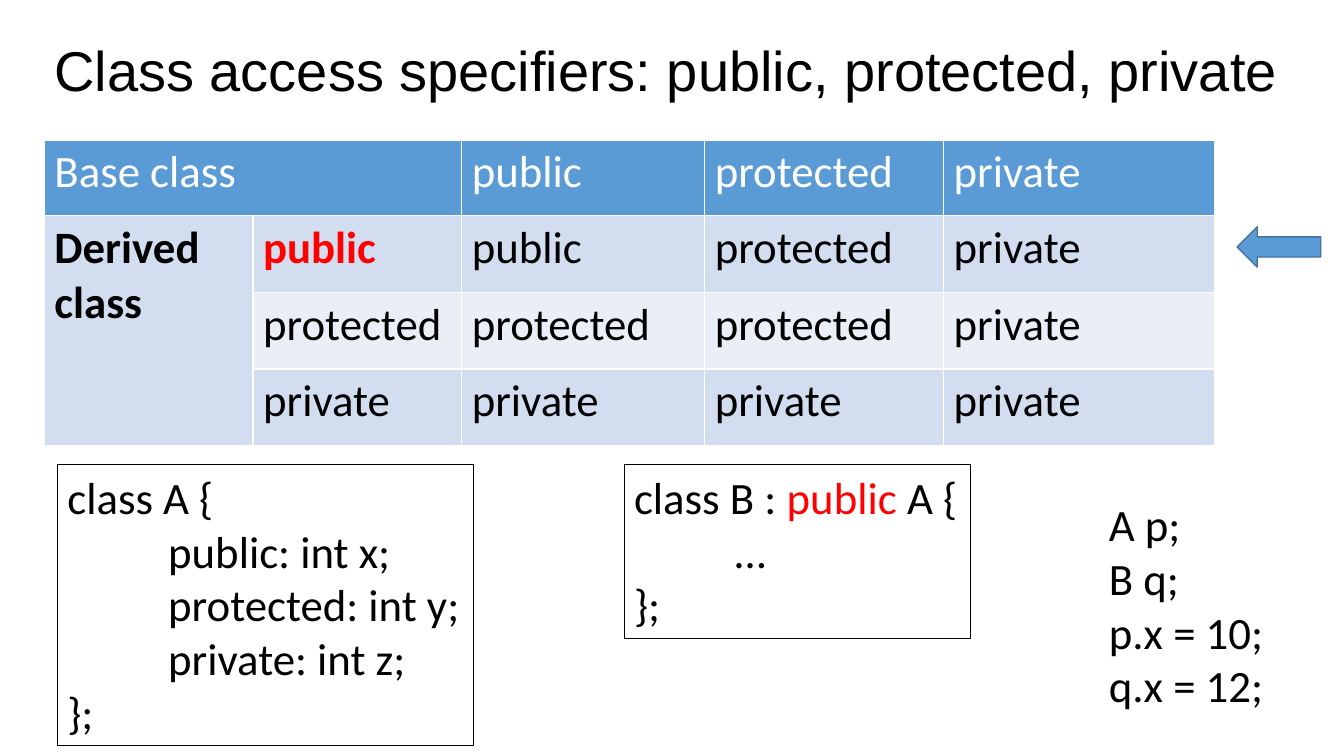
"""Build a slide on class access specifiers."""
import pptx
import pptx.util
import pptx.dml.color
import pptx.enum.shapes
import pptx.enum.text
import pptx.oxml.ns
import lxml.etree

Inches, Pt = pptx.util.Inches, pptx.util.Pt
BLACK, WHITE, RED, BLUE = "000000", "FFFFFF", "FF0000", "5B9BD5"
BANDS = ["D2DEEF", "EAEFF7"]
TITLE = "Class access specifiers: public, protected, private"
COLS = [2.07, 2.07, 2.41, 2.37, 2.69]
ROWS = [0.75, 0.76, 0.76, 0.76]
GRID = [
    ["Base class", "", "public", "protected", "private"],
    ["Derived\nclass", "public", "public", "protected", "private"],
    ["", "protected", "protected", "protected", "private"],
    ["", "private", "private", "private", "private"],
]
BOLD = {(1, 0): BLACK, (1, 1): RED}
CODE = [
    ((6.19, 4.61, 3.44, 1.72), True,
     [[("class B : ", BLACK), ("public", RED), (" A {", BLACK)], "\t…", "};"]),
    ((0.57, 4.61, 4.13, 2.79), True,
     ["class A {", "\tpublic: int x;", "\tprotected: int y;",
      "\tprivate: int z;", "};"]),
    ((10.9, 4.88, 1.79, 2.26), False,
     ["A p;", "B q;", "p.x = 10;", "q.x = 12;"]),
]


def color(code):
    return pptx.dml.color.RGBColor.from_string(code)


def paint(fill, code):
    fill.solid()
    fill.fore_color.rgb = color(code)


def write(frame, lines, tint=BLACK, size=32, face="Calibri", bold=False):
    for i, line in enumerate(lines):
        para = frame.add_paragraph() if i else frame.paragraphs[0]
        for words, code in [(line, tint)] if isinstance(line, str) else line:
            if words.startswith("\t"):
                para._p.get_or_add_pPr().set("marL", str(Inches(1)))
            run = para.add_run()
            run.text = words.lstrip("\t")
            run.font.size, run.font.name, run.font.bold = Pt(size), face, bold
            run.font.color.rgb = color(code)


def edge(cell):
    props = cell._tc.get_or_add_tcPr()
    for side in "LRTB":
        line = lxml.etree.SubElement(
            props, pptx.oxml.ns.qn(f"a:ln{side}"), w=str(Pt(1)))
        fill = lxml.etree.SubElement(line, pptx.oxml.ns.qn("a:solidFill"))
        lxml.etree.SubElement(fill, pptx.oxml.ns.qn("a:srgbClr"), val=WHITE)


deck = pptx.Presentation()
deck.slide_width, deck.slide_height = Inches(13.33), Inches(7.5)
slide = deck.slides.add_slide(deck.slide_layouts[6])
shapes = slide.shapes

title = shapes.add_textbox(*map(Inches, (0.44, 0, 12.89, 1.45))).text_frame
title.word_wrap = True
title.vertical_anchor = pptx.enum.text.MSO_ANCHOR.MIDDLE
write(title, [TITLE], size=40, face="Arial")
title.paragraphs[0].line_spacing = 0.9

place = map(Inches, (0.44, 1.39, sum(COLS), sum(ROWS)))
table = shapes.add_table(len(ROWS), len(COLS), *place).table
for col, width in zip(table.columns, COLS):
    col.width = Inches(width)
for row, height in zip(table.rows, ROWS):
    row.height = Inches(height)
table.cell(0, 0).merge(table.cell(0, 1))
table.cell(1, 0).merge(table.cell(3, 0))
for r, names in enumerate(GRID):
    for c, name in enumerate(names):
        cell = table.cell(r, c)
        edge(cell)
        band = BANDS[(r - 1) % 2] if c else BANDS[0]
        paint(cell.fill, band if r else BLUE)
        if name:
            tint = BOLD.get((r, c), BLACK if r else WHITE)
            write(cell.text_frame, name.split("\n"), tint, bold=(r, c) in BOLD)

for place, framed, lines in CODE:
    box = shapes.add_textbox(*map(Inches, place))
    box.text_frame.word_wrap = False
    box.text_frame.auto_size = pptx.enum.text.MSO_AUTO_SIZE.SHAPE_TO_FIT_TEXT
    if framed:
        box.line.color.rgb = color(BLACK)
        box.line.width = Pt(0.75)
    write(box.text_frame, lines)

arrow = shapes.add_shape(pptx.enum.shapes.MSO_SHAPE.LEFT_ARROW,
                         *map(Inches, (12.27, 2.25, 0.83, 0.4)))
arrow.shadow.inherit = False
paint(arrow.fill, BLUE)
arrow.line.color.rgb = color("43739E")
arrow.line.width = Pt(1)

deck.save("out.pptx")
